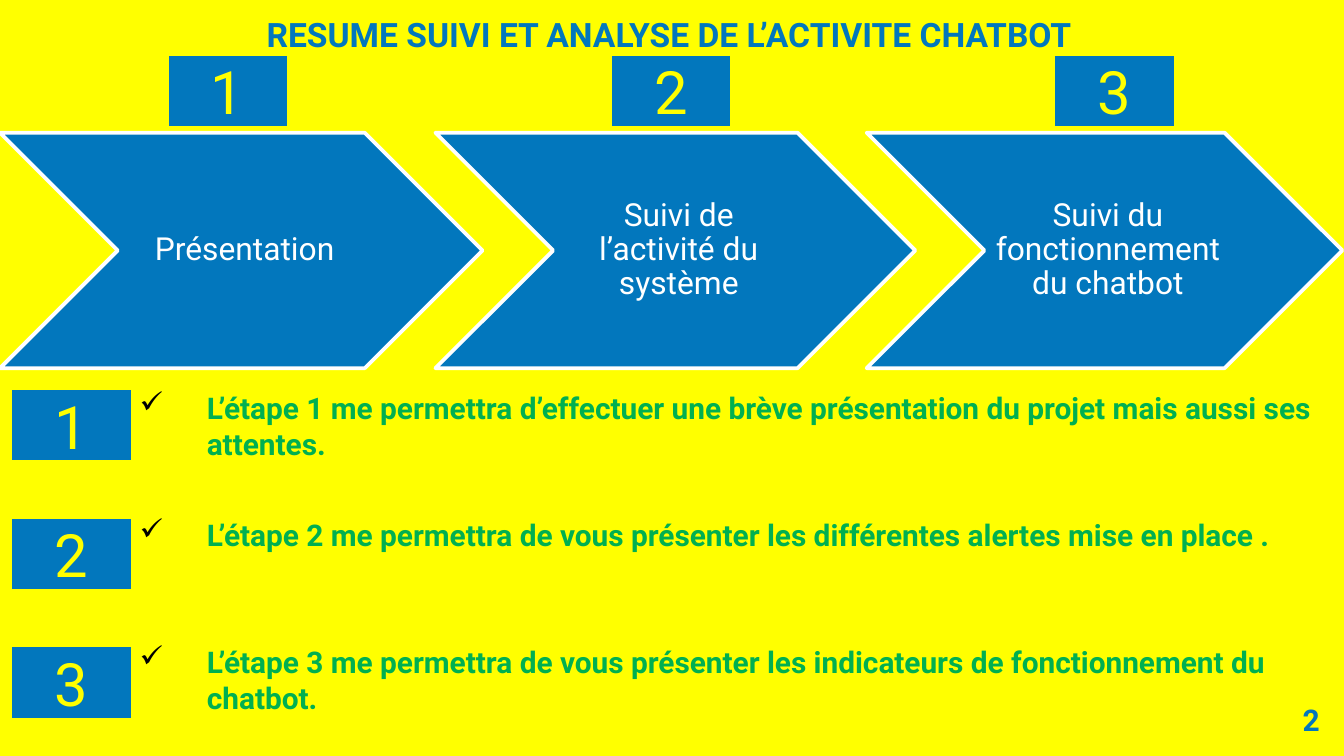
import pptx
import pptx.dml.color
import pptx.enum.shapes
import pptx.enum.text
import pptx.oxml
import pptx.oxml.ns
import pptx.util
from pptx.util import Cm

COLORS = {"yellow": "FFFF00", "blue": "0277BD", "white": "FFFFFF",
          "green": "00B050", "black": "000000"}
ALIGN = pptx.enum.text.PP_ALIGN
ANCHOR = pptx.enum.text.MSO_ANCHOR
SHAPE = pptx.enum.shapes.MSO_SHAPE


def write_text(shape, text, size, color, bold=False, alignment=ALIGN.CENTER,
               anchor=ANCHOR.MIDDLE, margins=(0.25, 0.13, 0.25, 0.13)):
    frame = shape.text_frame
    frame.text = text
    frame.word_wrap = True
    frame.vertical_anchor = anchor
    (frame.margin_left, frame.margin_top,
     frame.margin_right, frame.margin_bottom) = map(Cm, margins)
    paragraph = frame.paragraphs[0]
    paragraph.alignment = alignment
    font = paragraph.runs[0].font
    font.name = "Roboto"
    font.size = pptx.util.Pt(size)
    font.bold = bold
    font.color.rgb = pptx.dml.color.RGBColor.from_string(COLORS[color])
    return paragraph


def add_block(kind, left, top, width, height, line):
    shape = slide.shapes.add_shape(kind, Cm(left), Cm(top), Cm(width), Cm(height))
    shape.shadow.inherit = False
    shape.fill.solid()
    shape.fill.fore_color.rgb = pptx.dml.color.RGBColor.from_string(COLORS["blue"])
    shape.line.color.rgb = pptx.dml.color.RGBColor.from_string(COLORS[line])
    shape.line.width = pptx.util.Pt(2)
    return shape


presentation = pptx.Presentation()
presentation.slide_width = Cm(25.4)
presentation.slide_height = Cm(14.29)
slide = presentation.slides.add_slide(presentation.slide_layouts[5])
slide.background.fill.solid()
slide.background.fill.fore_color.rgb = pptx.dml.color.RGBColor.from_string(COLORS["yellow"])

# Title
title = slide.shapes.title
title.left, title.top, title.width, title.height = Cm(0.03), Cm(0), Cm(25.37), Cm(1.3)
write_text(title, "RESUME SUIVI ET ANALYSE DE L’ACTIVITE CHATBOT ", 18, "blue",
           bold=True, margins=(0.25, 0.25, 0.25, 0.25))
title.text_frame.auto_size = pptx.enum.text.MSO_AUTO_SIZE.NONE

# Chevrons, each with its label between the notch and the shoulder
chevron_top, chevron_height = 2.51, 4.45
chevrons = [
    (0, 9.12, "Présentation"),
    (8.23, 9.07, "Suivi de l’activité du système"),
    (16.38, 8.99, "Suivi du fonctionnement du chatbot"),
]
for left, width, text in chevrons:
    add_block(SHAPE.CHEVRON, left, chevron_top, width, chevron_height, "white")
    label = slide.shapes.add_textbox(
        Cm(left + chevron_height / 2), Cm(chevron_top),
        Cm(width - chevron_height), Cm(chevron_height))
    paragraph = write_text(label, text, 17, "white", margins=(0.18, 0.05, 0.05, 0.05))
    paragraph.line_spacing = 0.9

# Number badges: a row above the chevrons, a column beside the steps
for index in range(3):
    for left, top in ((3.15 + 8.38 * index, 1.02), (0.2, 7.34 + 2.43 * index)):
        badge = add_block(SHAPE.RECTANGLE, left, top, 2.31, 1.4, "yellow")
        write_text(badge, str(index + 1), 32, "yellow")

# Step descriptions with check-mark bullets
steps = [
    (1.63, "L’étape 1 me permettra d’effectuer une brève présentation du projet "
           "mais aussi ses attentes."),
    (0.94, "L’étape 2 me permettra de vous présenter les différentes alertes "
           "mise en place ."),
    (1.63, "L’étape 3 me permettra de vous présenter les indicateurs de "
           "fonctionnement du chatbot."),
]
for index, (height, text) in enumerate(steps):
    description = slide.shapes.add_textbox(
        Cm(2.39), Cm(7.24 + 2.4 * index), Cm(22.81), Cm(height))
    paragraph = write_text(description, text, 16, "green", bold=True,
                           alignment=ALIGN.LEFT, anchor=ANCHOR.TOP)
    description.text_frame.auto_size = pptx.enum.text.MSO_AUTO_SIZE.SHAPE_TO_FIT_TEXT
    properties = paragraph._p.get_or_add_pPr()
    properties.set("marL", str(Cm(1.27)))
    properties.set("indent", str(-Cm(1.27)))
    namespace = pptx.oxml.ns.nsdecls("a")
    for bullet in (f'<a:buClr {namespace}><a:srgbClr val="{COLORS["black"]}"/></a:buClr>',
                   f'<a:buChar {namespace} char="✓"/>'):
        properties.append(pptx.oxml.parse_xml(bullet))

# Page number
page_number = slide.shapes.add_textbox(Cm(23.67), Cm(13.06), Cm(1.52), Cm(1.09))
write_text(page_number, "2", 16, "blue", bold=True, alignment=ALIGN.RIGHT,
           margins=(0.25, 0.25, 0.25, 0.25))

presentation.save("out.pptx")
